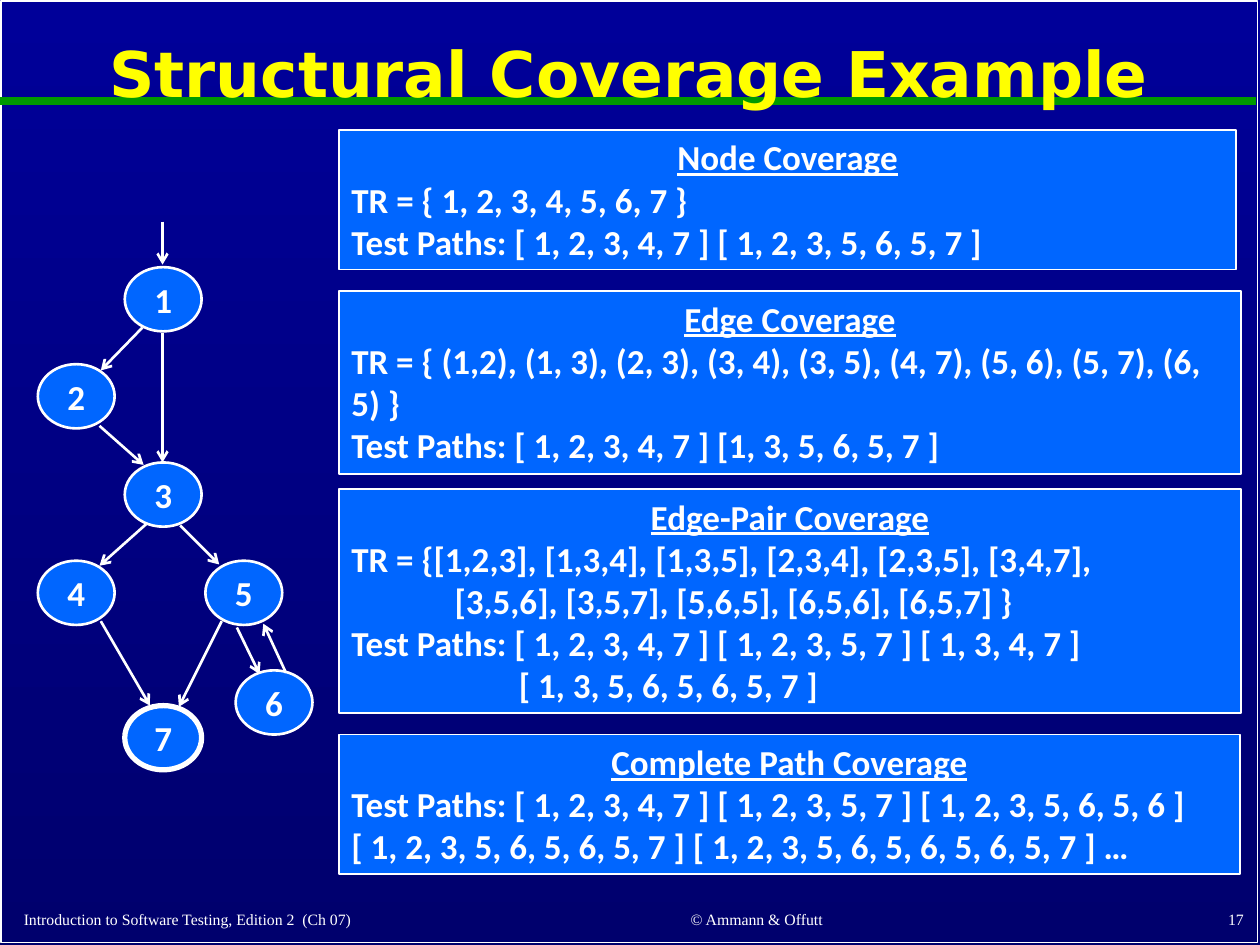
"""Build the structural coverage slide with its control flow graph and four coverage criteria."""
from dataclasses import dataclass

from lxml.etree import SubElement
from pptx import Presentation
from pptx.dml.color import RGBColor
from pptx.enum.shapes import MSO_CONNECTOR, MSO_SHAPE
from pptx.enum.text import MSO_ANCHOR, MSO_AUTO_SIZE, PP_ALIGN
from pptx.oxml.ns import qn
from pptx.slide import Slide
from pptx.util import Inches, Pt

WHITE, BLUE, GREEN, YELLOW = "FFFFFF", "0066FF", "009900", "FFFF00"
NODE_WIDTH, NODE_HEIGHT = 0.61, 0.51
PANEL_LEFT = 2.69


@dataclass
class Node:
    label: str
    left: float
    top: float
    line_width: float = 1.5


@dataclass
class Edge:
    start: tuple[float, float]
    end: tuple[float, float]


@dataclass
class Line:
    text: str
    indent: float = 0


@dataclass
class Panel:
    heading: str
    top: float
    width: float
    height: float
    lines: list[Line]


@dataclass
class Footer:
    text: str
    left: float
    width: float
    alignment: PP_ALIGN


NODES = [
    Node("1", 0.99, 2.12),
    Node("2", 0.3, 2.89),
    Node("3", 0.99, 3.67),
    Node("4", 0.3, 4.45),
    Node("5", 1.63, 4.45),
    Node("6", 1.87, 5.32),
    Node("7", 0.99, 5.6, 3),
]

EDGES = [
    Edge((1.29, 1.76), (1.29, 2.1)),
    Edge((1.13, 2.6), (0.8, 2.94)),
    Edge((1.29, 2.64), (1.29, 3.67)),
    Edge((0.79, 3.38), (1.14, 3.69)),
    Edge((1.16, 4.16), (0.79, 4.49)),
    Edge((1.43, 4.17), (1.74, 4.48)),
    Edge((0.8, 4.93), (1.19, 5.6)),
    Edge((1.76, 4.93), (1.42, 5.61)),
    Edge((1.88, 4.98), (2.06, 5.35)),
    Edge((2.27, 5.34), (2.09, 4.95)),
]

PANELS = [
    Panel("Node Coverage", 1.03, 7.12, 1.11, [
        Line("TR = { 1, 2, 3, 4, 5, 6, 7 }"),
        Line("Test Paths: [ 1, 2, 3, 4, 7 ] [ 1, 2, 3, 5, 6, 5, 7 ]"),
    ]),
    Panel("Edge Coverage", 2.31, 7.16, 1.45, [
        Line("TR = { (1,2), (1, 3), (2, 3), (3, 4), (3, 5), (4, 7), (5, 6), (5, 7), (6, 5) }"),
        Line("Test Paths: [ 1, 2, 3, 4, 7 ] [1, 3, 5, 6, 5, 7 ]"),
    ]),
    Panel("Edge-Pair Coverage", 3.88, 7.16, 1.78, [
        Line("TR = {[1,2,3], [1,3,4], [1,3,5], [2,3,4], [2,3,5], [3,4,7],"),
        Line("[3,5,6], [3,5,7], [5,6,5], [6,5,6], [6,5,7] }", 0.82),
        Line("Test Paths: [ 1, 2, 3, 4, 7 ] [ 1, 2, 3, 5, 7 ] [ 1, 3, 4, 7 ]"),
        Line("[ 1, 3, 5, 6, 5, 6, 5, 7 ]", 1.33),
    ]),
    Panel("Complete Path Coverage", 5.83, 7.15, 1.11, [
        Line("Test Paths: [ 1, 2, 3, 4, 7 ] [ 1, 2, 3, 5, 7 ] [ 1, 2, 3, 5, 6, 5, 6 ] "
             "[ 1, 2, 3, 5, 6, 5, 6, 5, 7 ] [ 1, 2, 3, 5, 6, 5, 6, 5, 6, 5, 7 ] …"),
    ]),
]

FOOTERS = [
    Footer("Introduction to Software Testing, Edition 2  (Ch 07)", 0.09, 4.12, PP_ALIGN.LEFT),
    Footer("© Ammann & Offutt", 4.42, 3.17, PP_ALIGN.CENTER),
    Footer("17", 7.89, 2.08, PP_ALIGN.RIGHT),
]


def color(value: str) -> RGBColor:
    return RGBColor.from_string(value)


def write(paragraph, text: str, size: float, name: str, alignment: PP_ALIGN,
          bold: bool = True, font_color: str = WHITE) -> None:
    paragraph.text = text
    paragraph.alignment = alignment
    font = paragraph.font
    font.size, font.name, font.bold = Pt(size), name, bold
    font.color.rgb = color(font_color)


def add_outlined(slide: Slide, kind: MSO_SHAPE, left: float, top: float, width: float,
                 height: float, line_width: float, fill: str | None = BLUE):
    shape = slide.shapes.add_shape(kind, Inches(left), Inches(top), Inches(width), Inches(height))
    shape.shadow.inherit = False
    if fill:
        shape.fill.solid()
        shape.fill.fore_color.rgb = color(fill)
    else:
        shape.fill.background()
    shape.line.color.rgb = color(WHITE)
    shape.line.width = Pt(line_width)
    return shape


def add_line(slide: Slide, edge: Edge, line_color: str, width: float, arrow: bool) -> None:
    points = [Inches(value) for value in (*edge.start, *edge.end)]
    connector = slide.shapes.add_connector(MSO_CONNECTOR.STRAIGHT, *points)
    connector.line.color.rgb = color(line_color)
    connector.line.width = Pt(width)
    if arrow:
        SubElement(connector.line._get_or_add_ln(), qn("a:tailEnd"), type="arrow")
    SubElement(connector._element.spPr, qn("a:effectLst"))


def add_node(slide: Slide, node: Node) -> None:
    shape = add_outlined(slide, MSO_SHAPE.OVAL, node.left, node.top,
                         NODE_WIDTH, NODE_HEIGHT, node.line_width)
    frame = shape.text_frame
    frame.word_wrap = False
    frame.margin_left = frame.margin_right = frame.margin_top = frame.margin_bottom = 0
    frame.vertical_anchor = MSO_ANCHOR.MIDDLE
    write(frame.paragraphs[0], node.label, 20, "Calibri", PP_ALIGN.CENTER)


def add_panel(slide: Slide, panel: Panel) -> None:
    shape = add_outlined(slide, MSO_SHAPE.RECTANGLE, PANEL_LEFT, panel.top,
                         panel.width, panel.height, 1)
    frame = shape.text_frame
    frame.word_wrap = True
    frame.vertical_anchor = MSO_ANCHOR.TOP
    heading = frame.paragraphs[0]
    write(heading, panel.heading, 20, "Calibri", PP_ALIGN.CENTER)
    heading.font.underline = True
    for line in panel.lines:
        paragraph = frame.add_paragraph()
        write(paragraph, line.text, 20, "Calibri", PP_ALIGN.LEFT)
        if line.indent:
            paragraph._p.get_or_add_pPr().set("marL", str(Inches(line.indent)))


def add_footer(slide: Slide, footer: Footer) -> None:
    box = slide.shapes.add_textbox(Inches(footer.left), Inches(7.11),
                                   Inches(footer.width), Inches(0.31))
    frame = box.text_frame
    frame.word_wrap = True
    frame.vertical_anchor = MSO_ANCHOR.BOTTOM
    write(frame.paragraphs[0], footer.text, 9, "Times New Roman", footer.alignment, bold=False)


def set_background(slide: Slide) -> None:
    fill = slide.background.fill
    fill.gradient()
    fill.gradient_angle = 270
    for stop, value in zip(fill.gradient_stops, ("000099", "00006D")):
        stop.color.rgb = color(value)


def set_title(slide: Slide, text: str) -> None:
    title = slide.shapes.title
    title.left, title.top = Inches(0.09), Inches(0.11)
    title.width, title.height = Inches(9.8), Inches(1)
    frame = title.text_frame
    frame.auto_size = MSO_AUTO_SIZE.NONE
    frame.vertical_anchor = MSO_ANCHOR.MIDDLE
    paragraph = frame.paragraphs[0]
    write(paragraph, text, 36, "DejaVu Sans", PP_ALIGN.CENTER, font_color=YELLOW)
    paragraph.line_spacing = 0.9
    slide.shapes._spTree.append(title._element)


def main() -> None:
    presentation = Presentation()
    presentation.slide_width, presentation.slide_height = Inches(10), Inches(7.5)
    slide = presentation.slides.add_slide(presentation.slide_layouts[5])
    set_background(slide)
    add_outlined(slide, MSO_SHAPE.RECTANGLE, 0.01, 0.01, 9.97, 7.47, 1, fill=None)
    add_line(slide, Edge((0, 0.8), (9.97, 0.8)), GREEN, 4.5, arrow=False)
    set_title(slide, "Structural Coverage Example")
    for footer in FOOTERS:
        add_footer(slide, footer)
    for panel in PANELS:
        add_panel(slide, panel)
    for node in NODES:
        add_node(slide, node)
    for edge in EDGES:
        add_line(slide, edge, WHITE, 1.5, arrow=True)
    presentation.save("out.pptx")


if __name__ == "__main__":
    main()
